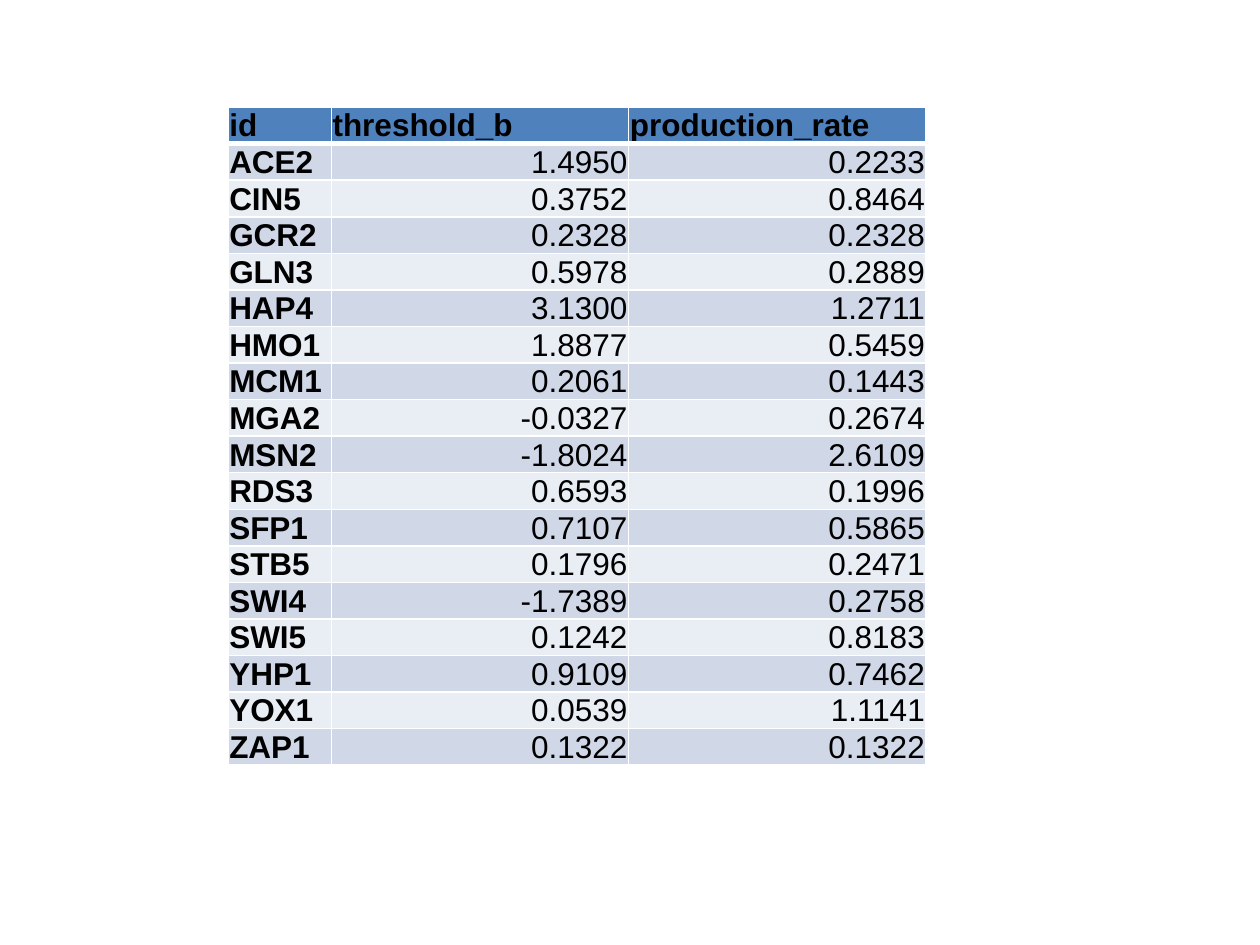
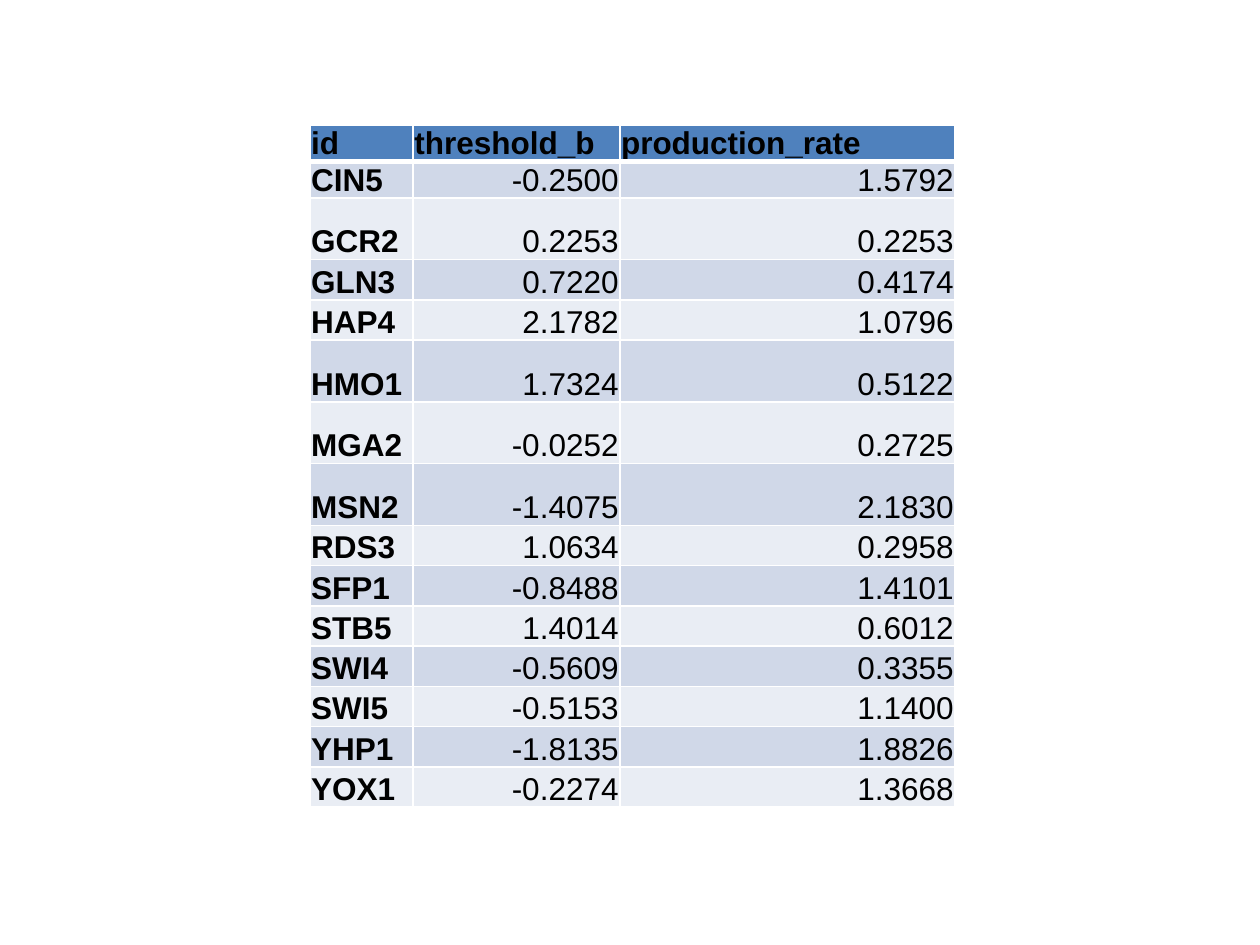
from dataclasses import dataclass

from lxml import etree
from pptx import Presentation
from pptx.dml.color import RGBColor
from pptx.enum.text import MSO_ANCHOR, PP_ALIGN
from pptx.oxml.ns import qn
from pptx.slide import Slide
from pptx.table import _Cell
from pptx.util import Inches, Pt

BOTTOM = MSO_ANCHOR.BOTTOM
LEFT, RIGHT = PP_ALIGN.LEFT, PP_ALIGN.RIGHT
BLANK_LAYOUT = 6
FONT = "Arial"
FONT_SIZE = 18
TEXT = "000000"
HEADER_FILL = "4F81BD"
BAND_FILLS = ("D0D8E8", "E9EDF4")
BORDER = "FFFFFF"
THIN, THICK = 1, 3
INSET = 0.01
HEADINGS = ("id", "threshold_b", "production_rate")


@dataclass(frozen=True)
class GeneTable:
    left: float
    top: float
    height: float
    column_widths: tuple[float, ...]
    header_height: float
    row_height: float
    special_heights: dict[str, float]
    rows: tuple[tuple[str, str, str], ...]


GENE_TABLES = (
    GeneTable(
        1.81, 0.85, 5.65, (0.82, 2.36, 2.36), 0.28, 0.28, {},
        (
            ("ACE2", "1.4950", "0.2233"),
            ("CIN5", "0.3752", "0.8464"),
            ("GCR2", "0.2328", "0.2328"),
            ("GLN3", "0.5978", "0.2889"),
            ("HAP4", "3.1300", "1.2711"),
            ("HMO1", "1.8877", "0.5459"),
            ("MCM1", "0.2061", "0.1443"),
            ("MGA2", "-0.0327", "0.2674"),
            ("MSN2", "-1.8024", "2.6109"),
            ("RDS3", "0.6593", "0.1996"),
            ("SFP1", "0.7107", "0.5865"),
            ("STB5", "0.1796", "0.2471"),
            ("SWI4", "-1.7389", "0.2758"),
            ("SWI5", "0.1242", "0.8183"),
            ("YHP1", "0.9109", "0.7462"),
            ("YOX1", "0.0539", "1.1141"),
            ("ZAP1", "0.1322", "0.1322"),
        ),
    ),
    GeneTable(
        2.46, 0.99, 5.49, (0.82, 1.64, 2.66), 0.25, 0.32,
        {"CIN5": 0.25, "GCR2": 0.49, "HMO1": 0.49, "MGA2": 0.49, "MSN2": 0.49},
        (
            ("CIN5", "-0.2500", "1.5792"),
            ("GCR2", "0.2253", "0.2253"),
            ("GLN3", "0.7220", "0.4174"),
            ("HAP4", "2.1782", "1.0796"),
            ("HMO1", "1.7324", "0.5122"),
            ("MGA2", "-0.0252", "0.2725"),
            ("MSN2", "-1.4075", "2.1830"),
            ("RDS3", "1.0634", "0.2958"),
            ("SFP1", "-0.8488", "1.4101"),
            ("STB5", "1.4014", "0.6012"),
            ("SWI4", "-0.5609", "0.3355"),
            ("SWI5", "-0.5153", "1.1400"),
            ("YHP1", "-1.8135", "1.8826"),
            ("YOX1", "-0.2274", "1.3668"),
        ),
    ),
)


def color(value: str) -> RGBColor:
    return RGBColor.from_string(value)


def set_borders(cell: _Cell, top: int, bottom: int) -> None:
    properties = cell._tc.get_or_add_tcPr()
    sides = (("a:lnL", THIN), ("a:lnR", THIN), ("a:lnT", top), ("a:lnB", bottom))
    for position, (tag, width) in enumerate(sides):
        line = etree.Element(qn(tag), w=str(Pt(width)))
        fill = etree.SubElement(line, qn("a:solidFill"))
        etree.SubElement(fill, qn("a:srgbClr"), val=BORDER)
        properties.insert(position, line)


def fill_cell(cell: _Cell, text: str, row: int, column: int) -> None:
    is_header = row == 0
    is_number = not is_header and column > 0
    cell.margin_left = cell.margin_right = cell.margin_top = Inches(INSET)
    cell.margin_bottom = 0
    cell.vertical_anchor = BOTTOM
    cell.fill.solid()
    cell.fill.fore_color.rgb = color(HEADER_FILL if is_header else BAND_FILLS[(row - 1) % 2])
    set_borders(cell, THICK if row == 1 else THIN, THICK if is_header else THIN)
    cell.text_frame.text = text
    paragraph = cell.text_frame.paragraphs[0]
    paragraph.alignment = RIGHT if is_number else LEFT
    font = paragraph.runs[0].font
    font.name = FONT
    font.size = Pt(FONT_SIZE)
    font.bold = not is_number
    font.color.rgb = color(TEXT)


def add_gene_table(slide: Slide, gene_table: GeneTable) -> None:
    rows = (HEADINGS, *gene_table.rows)
    shape = slide.shapes.add_table(
        len(rows), len(HEADINGS), Inches(gene_table.left), Inches(gene_table.top),
        Inches(sum(gene_table.column_widths)), Inches(gene_table.height),
    )
    table = shape.table
    for column, width in zip(table.columns, gene_table.column_widths):
        column.width = Inches(width)
    for row_index, values in enumerate(rows):
        height = gene_table.special_heights.get(values[0], gene_table.row_height)
        table.rows[row_index].height = Inches(height if row_index else gene_table.header_height)
        for column_index, text in enumerate(values):
            fill_cell(table.cell(row_index, column_index), text, row_index, column_index)
    shape.height = Inches(gene_table.height)


def main() -> None:
    presentation = Presentation()
    presentation.slide_width = Inches(10)
    presentation.slide_height = Inches(7.5)
    for gene_table in GENE_TABLES:
        slide = presentation.slides.add_slide(presentation.slide_layouts[BLANK_LAYOUT])
        add_gene_table(slide, gene_table)
    presentation.save("out.pptx")


if __name__ == "__main__":
    main()
